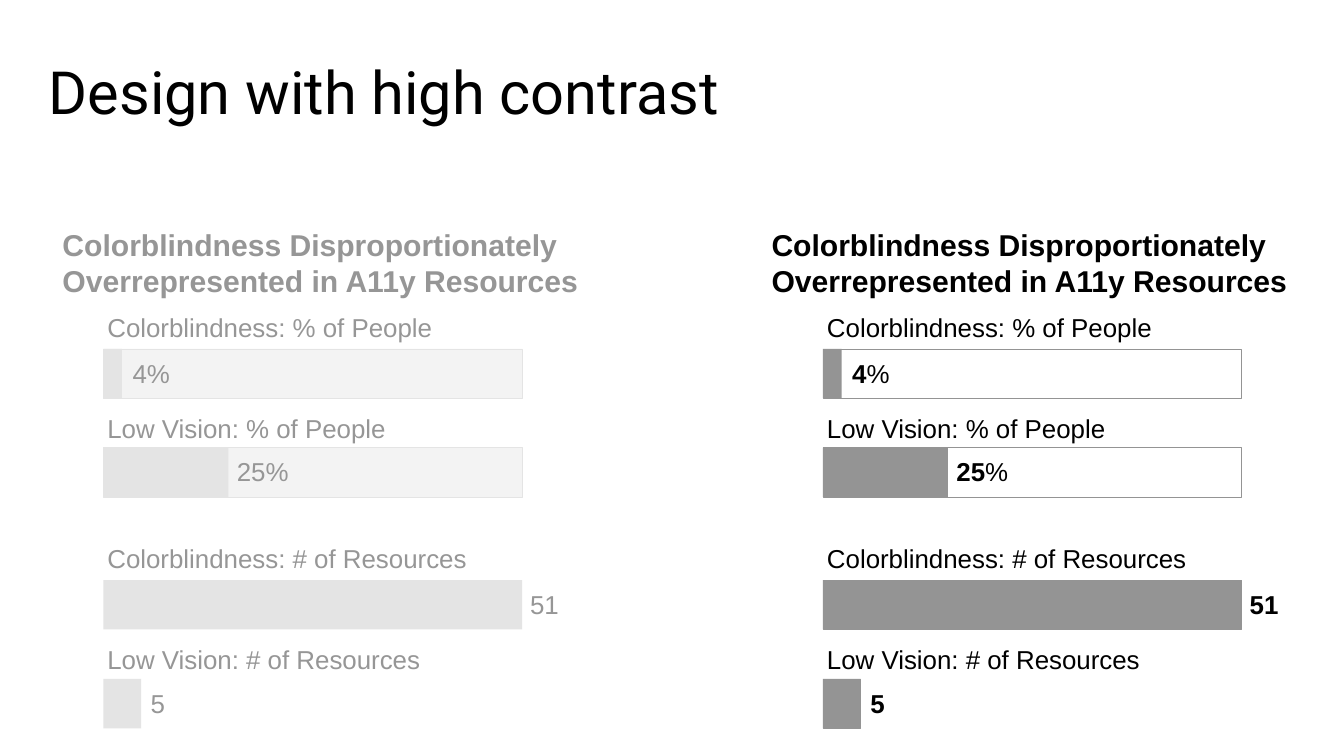
"""Build a slide that sets a low contrast chart beside a high contrast one."""
from pptx import Presentation
from pptx.dml.color import RGBColor
from pptx.enum import shapes, text
from pptx.util import Inches, Pt

TITLE = "Design with high contrast"
HEAD = "Colorblindness Disproportionately Overrepresented in A11y Resources"
COLORS = {"black": "000000", "white": "FFFFFF", "gray": "949494",
          "text": "969696", "pale": "E4E4E4", "track": "F3F3F3"}
PANELS = [
    {"left": 2.05, "head": 0.97, "ink": "text", "bar": "pale",
     "track": "track", "edge": None, "bold": False},
    {"left": 16.33, "head": 15.04, "ink": "black", "bar": "gray",
     "track": "white", "edge": "gray", "bold": True},
]
ROWS = [
    {"name": "Colorblindness: % of People", "top": 5.92, "wide": 8.31,
     "bar": 6.92, "size": 0.37, "num": "4", "unit": "%", "gap": 0.31, "room": 6.14},
    {"name": "Low Vision: % of People", "top": 7.92, "wide": 6.14,
     "bar": 8.88, "size": 2.48, "num": "25", "unit": "%", "gap": 2.38, "room": 4.22},
    {"name": "Colorblindness: # of Resources", "top": 10.5, "wide": 8.31,
     "bar": 11.51, "size": 8.31, "num": "51", "unit": "", "gap": 8.2, "room": 1.56},
    {"name": "Low Vision: # of Resources", "top": 12.5, "wide": 7.08,
     "bar": 13.47, "size": 0.75, "num": "5", "unit": "", "gap": 0.67, "room": 4.22},
]
FULL, THICK = 8.31, 0.98


def tint(name):
    return RGBColor.from_string(COLORS[name])


def add_bar(slide, left, top, width, fill, edge=None):
    bar = slide.shapes.add_shape(
        shapes.MSO_SHAPE.RECTANGLE, *map(Inches, (left, top, width, THICK)))
    bar.shadow.inherit = False
    bar.fill.solid()
    bar.fill.fore_color.rgb = tint(fill)
    if edge:
        bar.line.color.rgb = tint(edge)
        bar.line.width = Pt(0.75)
    else:
        bar.line.fill.background()


def add_text(slide, box, parts, size, ink, font="Arial", pad=0.27):
    frame = slide.shapes.add_textbox(*map(Inches, box)).text_frame
    frame.word_wrap = True
    frame.vertical_anchor = text.MSO_ANCHOR.TOP
    frame.margin_left = frame.margin_right = Inches(pad)
    frame.margin_top = frame.margin_bottom = Inches(pad)
    para = frame.paragraphs[0]
    for words, bold in parts:
        run = para.add_run()
        run.text = words
        run.font.size = Pt(size)
        run.font.name = font
        run.font.bold = bold
        run.font.color.rgb = tint(ink)
    return para


def add_row(slide, panel, row):
    left, ink = panel["left"], panel["ink"]
    if row["unit"]:
        add_bar(slide, left, row["bar"], FULL, panel["track"], panel["bar"])
    edge = None if row["unit"] else panel["edge"]
    add_bar(slide, left, row["bar"], row["size"], panel["bar"], edge)
    add_text(slide, (left - 0.19, row["top"], row["wide"], 1.16),
             [(row["name"], False)], 37, ink)
    parts = [(row["num"], panel["bold"])]
    if row["unit"]:
        parts.append((row["unit"], False))
    add_text(slide, (left + row["gap"], row["bar"] - 0.1, row["room"], 1.16),
             parts, 37, ink)


def main():
    deck = Presentation()
    deck.slide_width, deck.slide_height = Inches(26.67), Inches(15)
    slide = deck.slides.add_slide(deck.slide_layouts[6])
    title = add_text(slide, (0.91, 1.3, 24.85, 1.67), [(TITLE, False)],
                     85, "black", "Roboto", 0.06)
    title.line_spacing = 0.8
    for panel in PANELS:
        add_text(slide, (panel["head"], 4.22, 10.81, 1.99),
                 [(HEAD, True)], 43, panel["ink"])
        for row in ROWS:
            add_row(slide, panel, row)
    deck.save("out.pptx")


if __name__ == "__main__":
    main()
